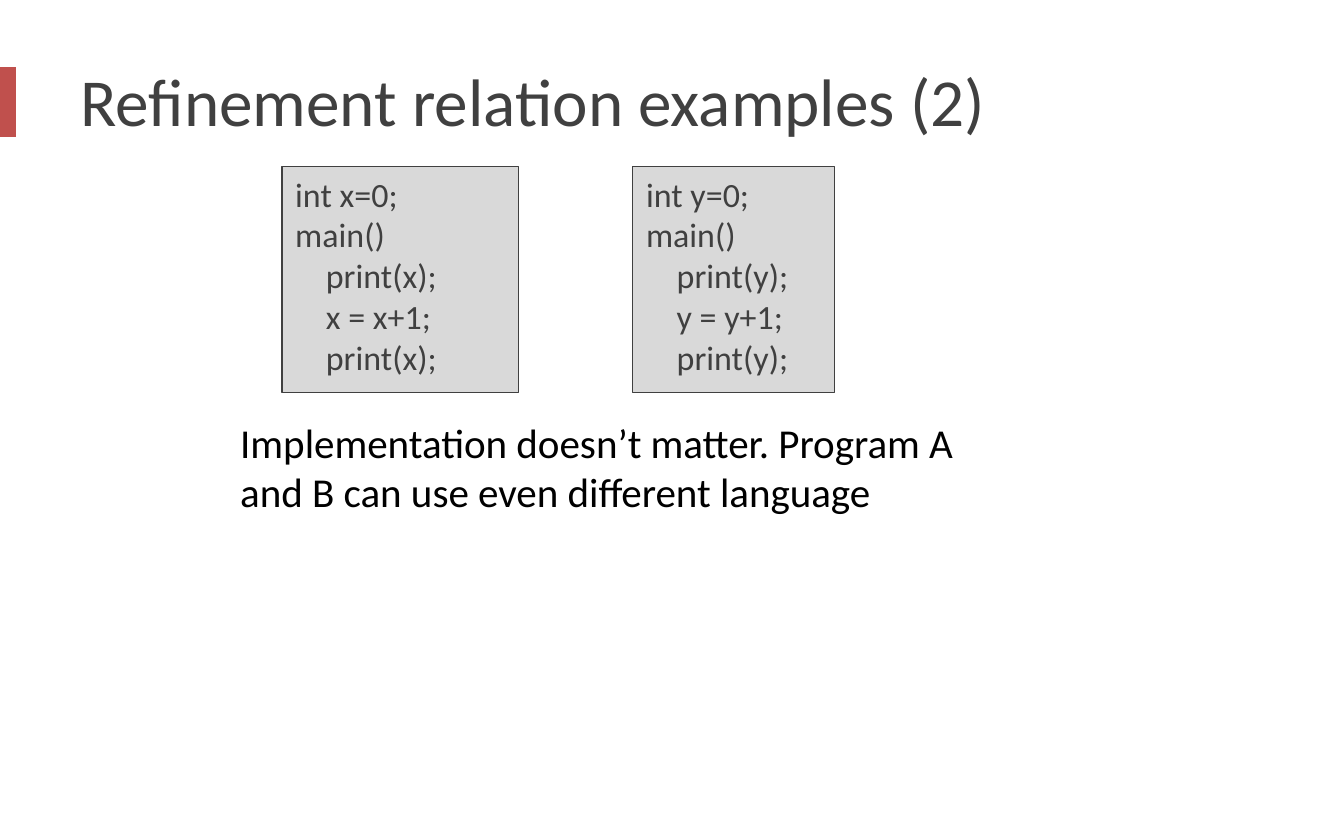
from dataclasses import dataclass

from pptx import Presentation
from pptx.dml.color import RGBColor
from pptx.enum.shapes import MSO_SHAPE
from pptx.enum.text import MSO_ANCHOR, MSO_AUTO_SIZE, PP_ALIGN
from pptx.shapes.autoshape import Shape
from pptx.slide import Slide
from pptx.text.text import TextFrame
from pptx.util import Cm, Pt

RED = RGBColor(0xC0, 0x50, 0x4D)
DARK_GREY = RGBColor(0x40, 0x40, 0x40)
LIGHT_GREY = RGBColor(0xD9, 0xD9, 0xD9)
BLACK = RGBColor(0, 0, 0)

CODE_TOP, CODE_HEIGHT = Cm(3.15), Cm(4.27)
CODE_INDENT = Cm(0.58)


@dataclass
class Program:
    variable: str
    left: float
    width: float

    def lines(self) -> list[tuple[int, str]]:
        """Indent level and text of each line of code."""
        v = self.variable
        return [
            (0, f"int {v}=0;"),
            (0, "main()"),
            (1, f"print({v});"),
            (1, f"{v} = {v}+1;"),
            (1, f"print({v});"),
        ]


PROGRAMS = [Program("x", 5.33, 4.47), Program("y", 11.96, 3.81)]


def format_text(frame: TextFrame, size: float, color: RGBColor) -> None:
    frame.word_wrap = True
    font_format = {"name": "Calibri", "size": Pt(size)}
    for paragraph in frame.paragraphs:
        paragraph.alignment = PP_ALIGN.LEFT
        for run in paragraph.runs:
            for attribute, value in font_format.items():
                setattr(run.font, attribute, value)
            run.font.color.rgb = color


def add_rectangle(slide: Slide, left: int, top: int, width: int, height: int,
                  fill: RGBColor) -> Shape:
    rectangle = slide.shapes.add_shape(MSO_SHAPE.RECTANGLE, left, top, width, height)
    rectangle.shadow.inherit = False
    rectangle.fill.solid()
    rectangle.fill.fore_color.rgb = fill
    rectangle.line.fill.background()
    return rectangle


def add_program(slide: Slide, program: Program) -> None:
    listing = add_rectangle(slide, Cm(program.left), CODE_TOP, Cm(program.width),
                            CODE_HEIGHT, LIGHT_GREY)
    listing.line.color.rgb = DARK_GREY
    listing.line.width = Pt(0.75)
    frame = listing.text_frame
    frame.vertical_anchor = MSO_ANCHOR.TOP
    lines = program.lines()
    frame.text = "\n".join(code for _, code in lines)
    for paragraph, (level, _) in zip(frame.paragraphs, lines):
        paragraph._p.get_or_add_pPr().set("marL", str(level * CODE_INDENT))
    format_text(frame, 18.2, DARK_GREY)


def main() -> None:
    presentation = Presentation()
    presentation.slide_width, presentation.slide_height = Cm(25.4), Cm(15.88)
    slide = presentation.slides.add_slide(presentation.slide_layouts[5])

    # Accent bar at the left edge
    add_rectangle(slide, Cm(-0.15), Cm(1.27), Cm(0.45), Cm(1.32), RED)

    # Title
    title = slide.shapes.title
    title_place = {"left": Cm(1.27), "top": Cm(0.64), "width": Cm(22.86), "height": Cm(2.49)}
    for attribute, value in title_place.items():
        setattr(title, attribute, value)
    title.text_frame.text = "Refinement relation examples (2)"
    title.text_frame.vertical_anchor = MSO_ANCHOR.MIDDLE
    title.text_frame.auto_size = MSO_AUTO_SIZE.NONE
    format_text(title.text_frame, 36, DARK_GREY)

    # The two programs
    for program in PROGRAMS:
        add_program(slide, program)

    # Conclusion
    conclusion = slide.shapes.add_textbox(Cm(4.29), Cm(7.77), Cm(14.71), Cm(2.13)).text_frame
    conclusion.text = ("Implementation doesn’t matter. Program A and B "
                       "can use even different language")
    conclusion.auto_size = MSO_AUTO_SIZE.SHAPE_TO_FIT_TEXT
    format_text(conclusion, 22, BLACK)

    presentation.save("out.pptx")


if __name__ == "__main__":
    main()
